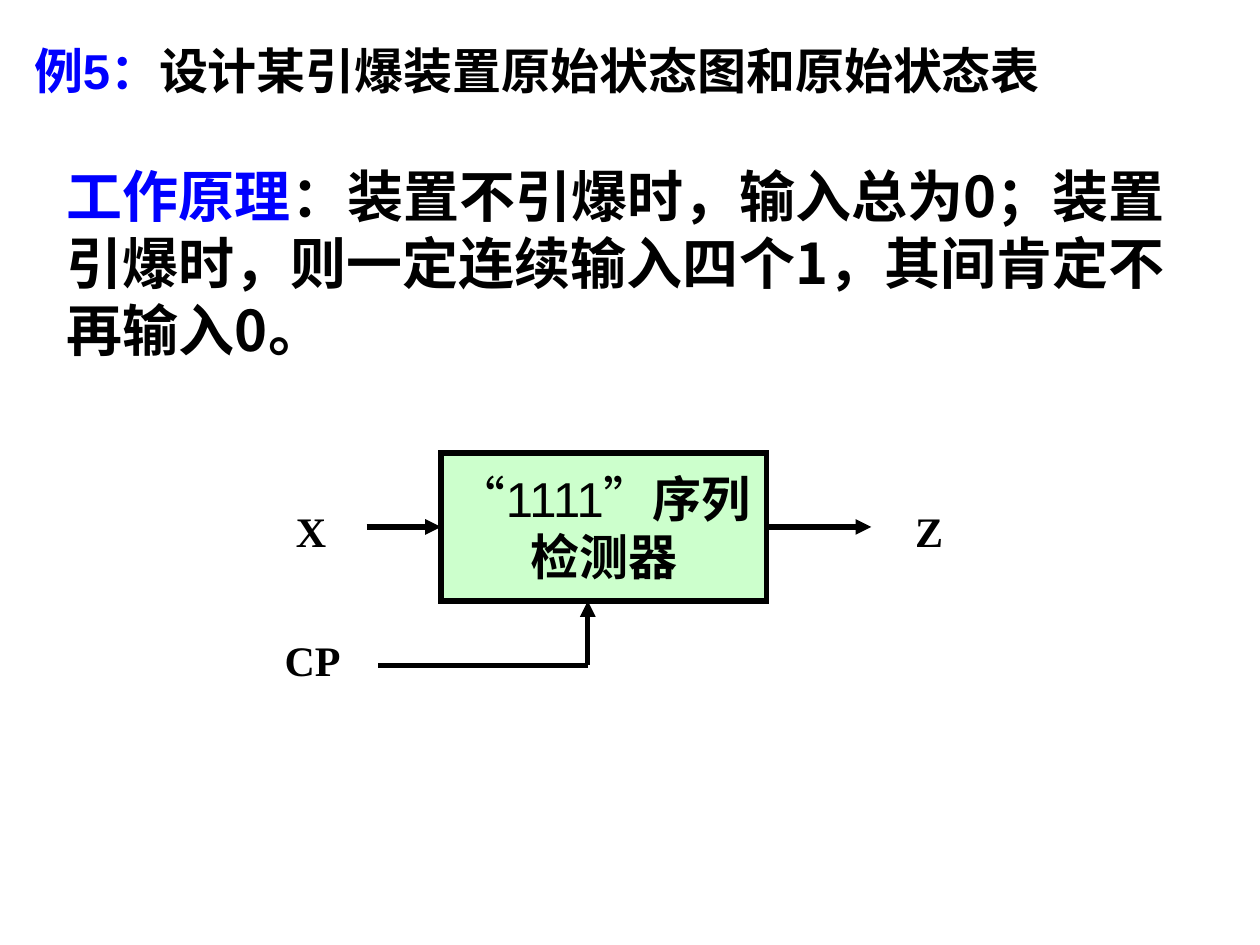
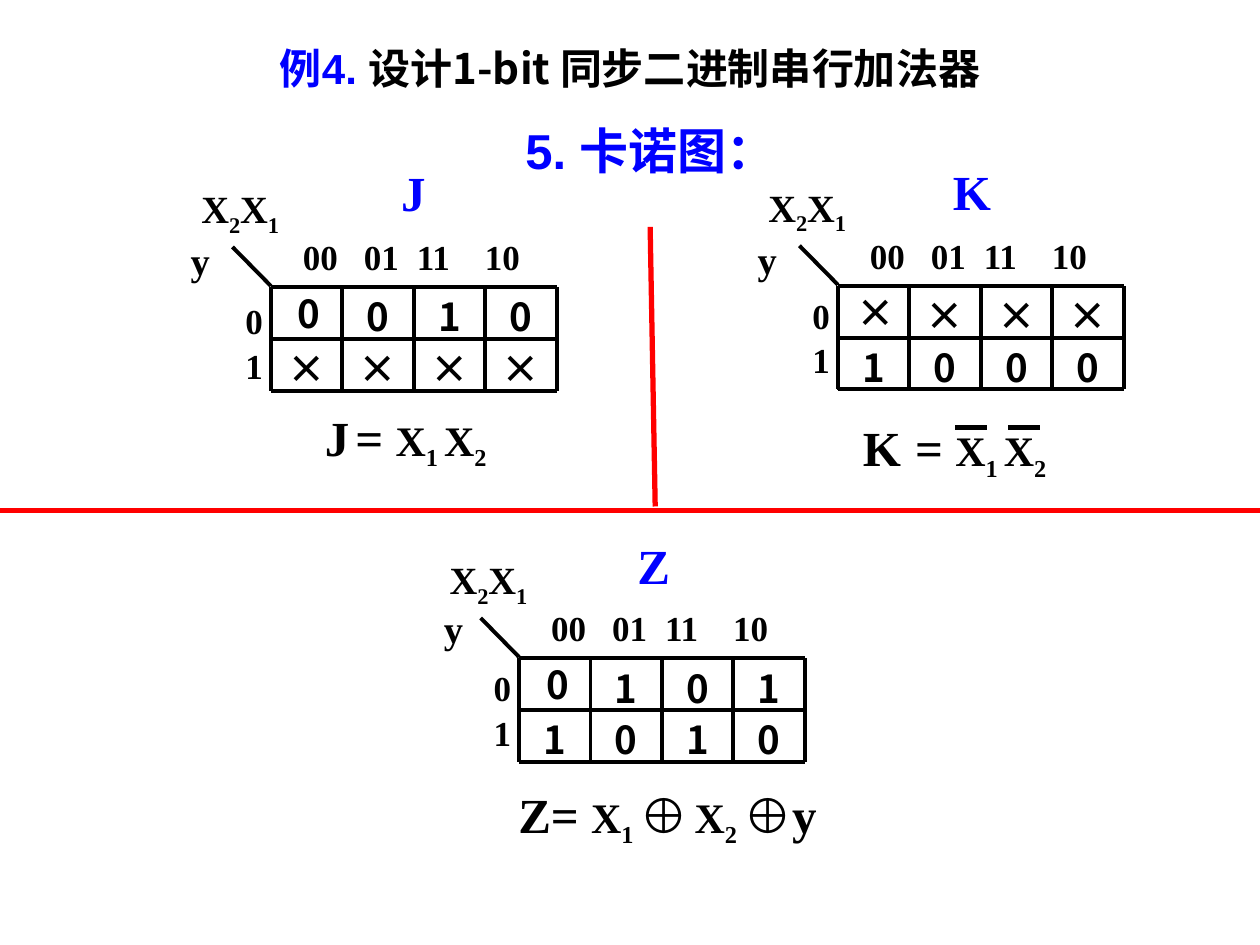
from dataclasses import dataclass

from lxml.etree import SubElement
from pptx import Presentation
from pptx.dml.color import RGBColor
from pptx.enum.shapes import MSO_CONNECTOR, MSO_SHAPE
from pptx.enum.text import MSO_ANCHOR, MSO_AUTO_SIZE, PP_ALIGN
from pptx.oxml.ns import qn
from pptx.util import Inches, Pt

# Shared look; the slide is a grid of 100 columns by 75 rows
COLUMNS, ROWS = 100, 75
BLACK, BLUE, RED, GREEN = "000000", "0000FF", "FF0000", "CCFFCC"
SANS, SERIF, CHINESE = "Arial", "Times New Roman", "Noto Sans CJK SC"
LINE_FACTOR = 1.2  # line height of Chinese text, as a share of its size
CELL_WIDTH, CELL_HEIGHT = 5.67, 4.1


@dataclass
class Run:
    text: str
    size: float
    font: str = SERIF
    color: str = BLACK
    bold: bool = True
    subscript: bool = False


def grid(*units):
    return [Inches(unit / 10) for unit in units]


def rgb(color):
    return RGBColor.from_string(color)


def set_tabs(paragraph, stops):
    tab_list = SubElement(paragraph._p.get_or_add_pPr(), qn("a:tabLst"))
    for stop in grid(*stops):
        SubElement(tab_list, qn("a:tab"), pos=str(stop), algn="l")


def write(paragraph, runs, align=PP_ALIGN.LEFT):
    paragraph.alignment = align
    paragraph.space_before = Pt(0)
    if runs[0].font != SERIF:
        paragraph.line_spacing = Pt(round(runs[0].size * LINE_FACTOR, 1))
    for item in runs:
        run = paragraph.add_run()
        run.text = item.text
        run.font.size = Pt(item.size)
        run.font.name = item.font
        run.font.bold = item.bold
        run.font.color.rgb = rgb(item.color)
        properties = run._r.get_or_add_rPr()
        SubElement(properties, qn("a:ea"), typeface=CHINESE)
        if item.subscript:
            properties.set("baseline", "-25000")


def add_label(slide, box, runs, tabs=(), align=PP_ALIGN.LEFT):
    text_frame = slide.shapes.add_textbox(*grid(*box)).text_frame
    text_frame.word_wrap = True
    paragraph = text_frame.paragraphs[0]
    if tabs:
        set_tabs(paragraph, tabs)
    write(paragraph, runs, align)
    return text_frame


def fill_placeholder(placeholder, box, runs, align=PP_ALIGN.LEFT):
    placeholder.left, placeholder.top, placeholder.width, placeholder.height = grid(*box)
    text_frame = placeholder.text_frame
    text_frame.auto_size = MSO_AUTO_SIZE.NONE
    text_frame.vertical_anchor = MSO_ANCHOR.TOP
    paragraph = text_frame.paragraphs[0]
    properties = paragraph._p.get_or_add_pPr()
    properties.set("marL", "0")
    properties.set("indent", "0")
    SubElement(properties, qn("a:buNone"))
    write(paragraph, runs, align)
    return text_frame


def add_line(slide, start, end, color=BLACK, width=3, arrow=False):
    connector = slide.shapes.add_connector(
        MSO_CONNECTOR.STRAIGHT, *grid(*start, *end))
    connector.line.color.rgb = rgb(color)
    connector.line.width = Pt(width)
    if arrow:
        SubElement(connector.line._get_or_add_ln(), qn("a:tailEnd"), type="triangle")
    SubElement(connector._element.spPr, qn("a:effectLst"))


def add_box(slide, box, width, fill=None):
    shape = slide.shapes.add_shape(MSO_SHAPE.RECTANGLE, *grid(*box))
    shape.shadow.inherit = False
    if fill:
        shape.fill.solid()
        shape.fill.fore_color.rgb = rgb(fill)
    else:
        shape.fill.background()
    shape.line.color.rgb = rgb(BLACK)
    shape.line.width = Pt(width)
    SubElement(shape.line._get_or_add_ln(), qn("a:miter"), lim="800000")
    return shape.text_frame


def add_detector(slide, left, top, width, height):
    """Block diagram: detector box with its inputs X, CP and output Z."""
    middle, bottom = top + height / 2, top + height
    text_frame = add_box(slide, (left, top, width, height), 3, GREEN)
    text_frame.word_wrap = False
    text_frame.vertical_anchor = MSO_ANCHOR.MIDDLE
    write(text_frame.paragraphs[0],
          [Run("“1111”", 28, SANS, bold=False), Run("序列", 28, SANS)],
          PP_ALIGN.CENTER)
    write(text_frame.add_paragraph(), [Run("检测器", 28, SANS)], PP_ALIGN.CENTER)

    # Signal lines
    clock_x, clock_y = left + 11.65, bottom + 5.1
    add_line(slide, (left - 5.9, middle), (left, middle), arrow=True)
    add_line(slide, (left + width, middle), (left + width + 8.3, middle), arrow=True)
    add_line(slide, (left - 5, clock_y), (clock_x, clock_y))
    add_line(slide, (clock_x, clock_y), (clock_x, bottom), arrow=True)

    # Signal names
    for name, x, y in (("X", left - 12.5, middle - 2.2),
                       ("CP", left - 13.4, clock_y - 2.9),
                       ("Z", left + width + 10.8, middle - 2.2)):
        add_label(slide, (x, y, 7.5, 5), [Run(name, 24)])


def add_karnaugh_grid(slide, left, top, rows):
    """Cells with their values, and the heavier rules over them."""
    right, bottom = left + 4 * CELL_WIDTH, top + 2 * CELL_HEIGHT
    for row_index, row in enumerate(rows):
        for column_index, value in enumerate(row):
            x, y = left + column_index * CELL_WIDTH, top + row_index * CELL_HEIGHT
            value_run = [Run(value, 22, CHINESE)]
            if row_index == column_index == 0:
                add_label(slide, (x + 0.2, y - 0.25, CELL_WIDTH, CELL_HEIGHT),
                          value_run, align=PP_ALIGN.CENTER)
                continue
            text_frame = add_box(slide, (x, y, CELL_WIDTH, CELL_HEIGHT), 1)
            text_frame.vertical_anchor = MSO_ANCHOR.TOP
            write(text_frame.paragraphs[0], value_run, PP_ALIGN.CENTER)

    # Rules; the right edge is drawn row by row
    for index in range(3):
        y = top + index * CELL_HEIGHT
        add_line(slide, (left, y), (right, y), width=2.25)
    for index in range(4):
        x = left + index * CELL_WIDTH
        add_line(slide, (x, top), (x, bottom), width=2.25)
    for index in range(2):
        y = top + index * CELL_HEIGHT
        add_line(slide, (right, y), (right, y + CELL_HEIGHT), width=2.25)


def add_karnaugh_map(slide, left, top, name, rows, name_at, y_at, codes_drop=1.2):
    """Map whose cell grid starts at left, top; captions are placed around it."""
    add_karnaugh_grid(slide, left, top, rows)

    # Map name and variables
    add_line(slide, (left - 3.05, top - 3.2), (left, top - 0.1), width=2.25)
    add_label(slide, (left + name_at[0], top + name_at[1], 6.7, 5.7),
              [Run(name, 28, color=BLUE)])
    add_label(slide, (left - 6.5, top - 8.6, 10.8, 4.7),
              variable("X", "2", 22) + variable("X", "1", 22))
    add_label(slide, (left + y_at[0], top + y_at[1], 5.8, 4.7), [Run("y", 22)])

    # Column and row codes
    add_label(slide, (left + 1.55, top - 4.6, 21.1, 4.3),
              [Run("00\t01\t11\t10", 20)], tabs=(4.85, 9.05, 14.45))
    codes = add_label(slide, (left - 3, top + codes_drop, 3.4, 7), [Run("0", 20)])
    write(codes.add_paragraph(), [Run("1", 20)])
    for paragraph in codes.paragraphs:
        paragraph.line_spacing = 0.65
    codes.paragraphs[1].space_before = Pt(10)


def variable(letter, index, size=24):
    return [Run(letter, size), Run(index, size, subscript=True)]


def add_detonator_slide(presentation):
    slide = presentation.slides.add_slide(presentation.slide_layouts[1])
    title, body = slide.placeholders
    title_frame = fill_placeholder(
        title, (0, 2.7, COLUMNS, 5.7),
        [Run("例5：", 28, SANS, BLUE), Run("设计某引爆装置原始状态图和原始状态表", 28, CHINESE)])
    title_frame.margin_left = Inches(0.27)
    fill_placeholder(
        body, (4.3, 12.3, 92.9, 17.2),
        [Run("工作原理", 32, CHINESE, BLUE),
         Run("：装置不引爆时，输入总为0；装置引爆时，则一定连续输入四个1，"
             "其间肯定不再输入0。", 32, CHINESE)])
    add_detector(slide, 35, 35.95, 25.85, 11.75)


def add_adder_slide(presentation):
    slide = presentation.slides.add_slide(presentation.slide_layouts[1])
    title, body = slide.placeholders
    fill_placeholder(
        title, (12.2, 2.85, 75.6, 5.1),
        [Run("例4. ", 24, SANS, BLUE),
         Run("设计1-bit 同步二进制串行加法器", 24, CHINESE)], PP_ALIGN.CENTER)
    fill_placeholder(body, (40.7, 9.1, 37.1, 5.7),
                     [Run("5. 卡诺图：", 28, SANS, BLUE)])

    # Karnaugh maps
    add_karnaugh_map(slide, 21.5, 22.8, "J", ("0010", "××××"),
                     (9.35, -10.4), (-7.35, -4.45), 1.55)
    add_karnaugh_map(slide, 66.5, 22.7, "K", ("××××", "1000"),
                     (8.15, -10.4), (-7.35, -4.45))
    add_karnaugh_map(slide, 41.2, 52.25, "Z", ("0101", "1010"),
                     (8.4, -10.25), (-6.95, -4.7))

    # Resulting equations
    add_label(slide, (24.8, 31.85, 19.2, 5.7),
              [Run("J", 28), Run(" ", 14), Run("= ", 28)]
              + variable("X", "1 ") + variable("X", "2"))
    add_label(slide, (67.5, 32.65, 22.5, 5.7),
              [Run("K\t= ", 28)] + variable("X", "1 ") + variable("X", "2"), tabs=(4.15,))
    add_label(slide, (40.15, 61.75, 35.8, 5.7),
              [Run("Z= ", 28)] + variable("X", "1 ")
              + [Run("⊕", 28), Run(" ", 24, subscript=True)]
              + variable("X", "2 ") + [Run("⊕y", 28)])
    for bar_left in (75.8, 80):
        add_line(slide, (bar_left, 33.95), (bar_left + 2.5, 33.95))

    # Dividers
    add_line(slide, (0, 40.5), (COLUMNS, 40.5), RED)
    add_line(slide, (52, 40.2), (51.6, 18), RED)


def main():
    presentation = Presentation()
    presentation.slide_width, presentation.slide_height = grid(COLUMNS, ROWS)
    add_detonator_slide(presentation)
    add_adder_slide(presentation)
    presentation.save("out.pptx")


if __name__ == "__main__":
    main()
